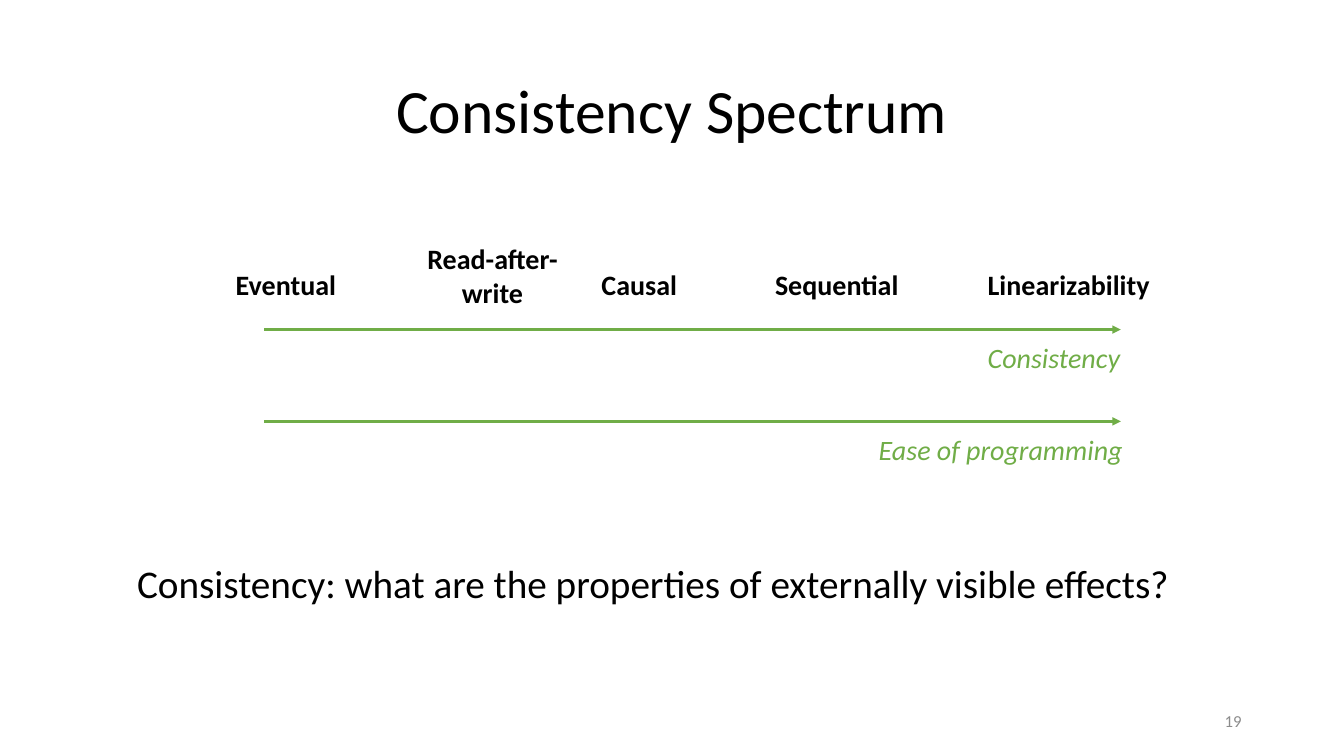
from lxml import etree
from pptx import Presentation
from pptx.dml.color import RGBColor
from pptx.enum import shapes, text
from pptx.oxml import ns
from pptx.util import Pt

HUES = {"ink": "000000", "green": "70AD47", "gray": "8C8C8C"}
ALIGN = text.PP_ALIGN
MIDDLE = text.MSO_ANCHOR.MIDDLE
FIT = text.MSO_AUTO_SIZE


def hue(name):
    return RGBColor.from_string(HUES[name])


def write(frame, words, size=20, color="ink", bold=False, italic=False,
          align=ALIGN.LEFT, space=1.0, plain=False):
    """Fill a text frame, one paragraph per line; plain drops the bullet."""
    frame.text = words
    for para in frame.paragraphs:
        if plain:
            props = para._p.get_or_add_pPr()
            props.set("marL", "0")
            props.set("indent", "0")
            etree.SubElement(props, ns.qn("a:buNone"))
        para.alignment = align
        para.line_spacing = space
        para.space_before = Pt(0)
        for run in para.runs:
            font = run.font
            font.name, font.size = "Calibri", Pt(size)
            font.bold, font.italic = bold, italic
            font.color.rgb = hue(color)


class Deck:
    def __init__(self, wide, high):
        self.prs = Presentation()
        self.prs.slide_width, self.prs.slide_height = Pt(wide), Pt(high)
        self.slide = self.prs.slides.add_slide(self.prs.slide_layouts[1])

    def holder(self, index, box, words, anchor, **style):
        """Move a template placeholder to box and fill it."""
        item = self.slide.placeholders[index]
        item.left, item.top, item.width, item.height = map(Pt, box)
        frame = item.text_frame
        frame.auto_size = FIT.NONE
        frame.vertical_anchor = anchor
        write(frame, words, space=0.9, **style)

    def label(self, box, words, **style):
        frame = self.slide.shapes.add_textbox(*map(Pt, box)).text_frame
        frame.word_wrap = False
        frame.auto_size = FIT.SHAPE_TO_FIT_TEXT
        write(frame, words, **style)

    def number(self, box, words):
        frame = self.slide.shapes.add_textbox(*map(Pt, box)).text_frame
        frame.word_wrap = True
        frame.vertical_anchor = MIDDLE
        write(frame, words, size=12, color="gray", align=ALIGN.RIGHT)

    def arrow(self, left, right, y):
        link = self.slide.shapes.add_connector(
            shapes.MSO_CONNECTOR.STRAIGHT, Pt(left), Pt(y), Pt(right), Pt(y))
        link.line.color.rgb = hue("green")
        link.line.width = Pt(2)
        etree.SubElement(link.line._get_or_add_ln(), ns.qn("a:tailEnd"),
                         type="triangle")
        etree.SubElement(link._element.spPr, ns.qn("a:effectLst"))


def main():
    deck = Deck(960, 540)
    deck.holder(0, (66, 29, 828, 104), "Consistency Spectrum", MIDDLE,
                size=44, align=ALIGN.CENTER)
    deck.holder(1, (90.7, 400, 807, 119),
                "Consistency: what are the properties of externally "
                "visible effects?", text.MSO_ANCHOR.TOP, size=28, plain=True)

    levels = [("Eventual", 161.3, 87), ("Causal", 422.6, 69),
              ("Sequential", 546.5, 104), ("Linearizability", 698.4, 131)]
    for words, left, wide in levels:
        deck.label((left, 187.2, wide, 31.5), words, bold=True)
    deck.label((297.4, 169.2, 108.7, 55.5), "Read-after-\nwrite",
               bold=True, align=ALIGN.CENTER)

    axes = [("Consistency", 235.4, 698.4, 124.6),
            ("Ease of programming", 301, 620.6, 207.4)]
    for words, y, left, wide in axes:
        deck.arrow(188.6, 800.6, y)
        deck.label((left, y + 4.4, wide, 31.5), words, color="green",
                   italic=True)

    deck.number((678, 500.5, 216, 28.75), "19")
    deck.prs.save("out.pptx")


if __name__ == "__main__":
    main()
